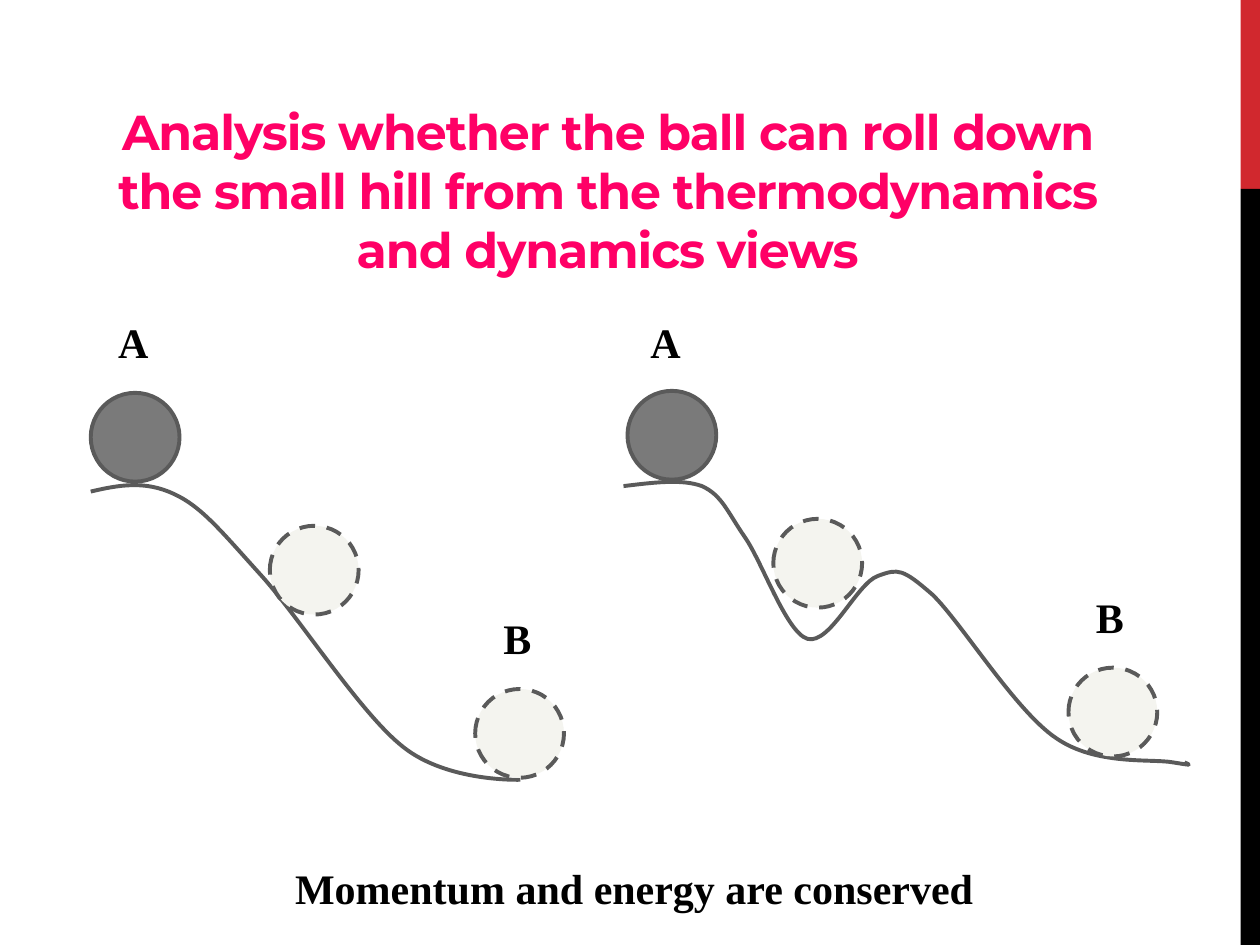
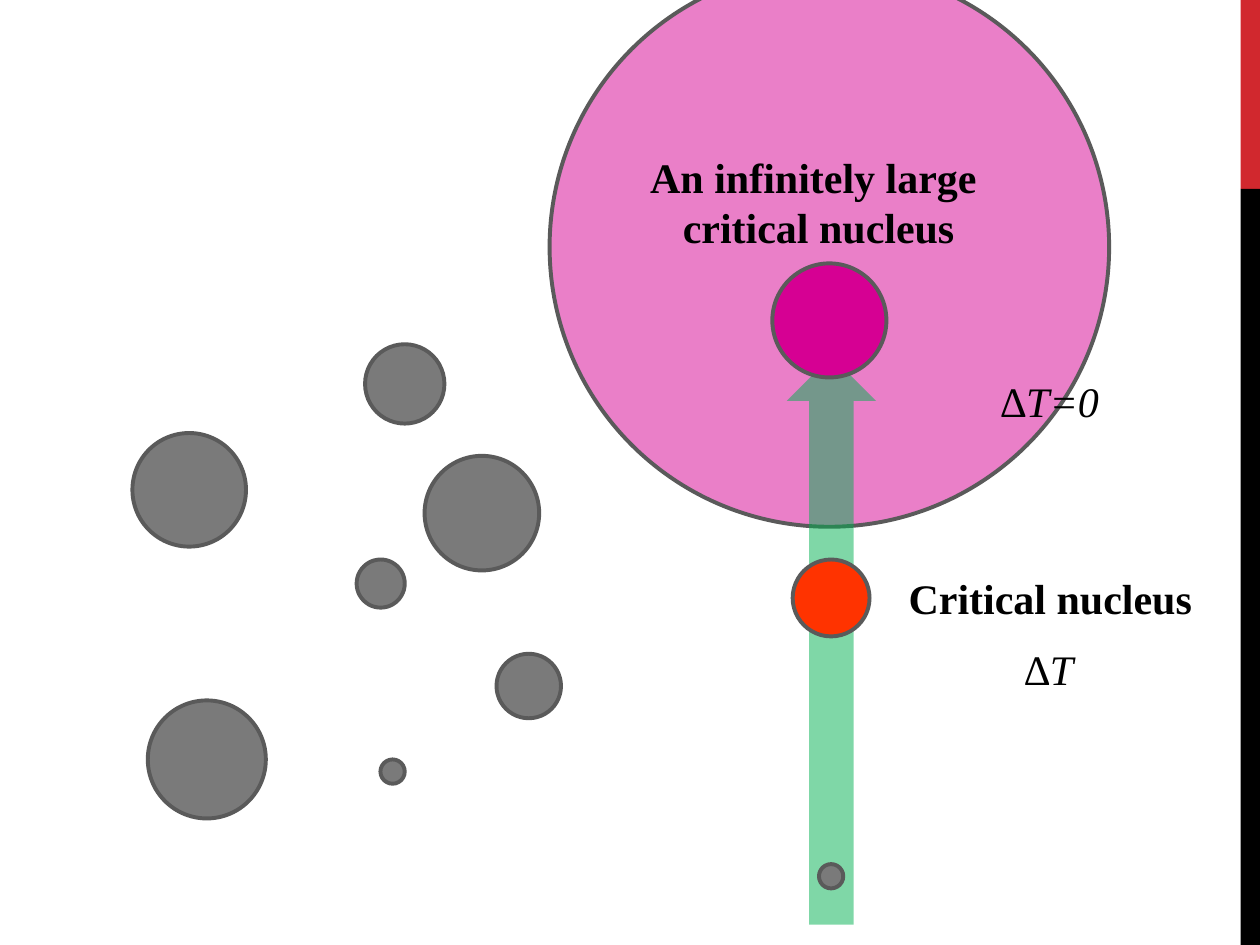
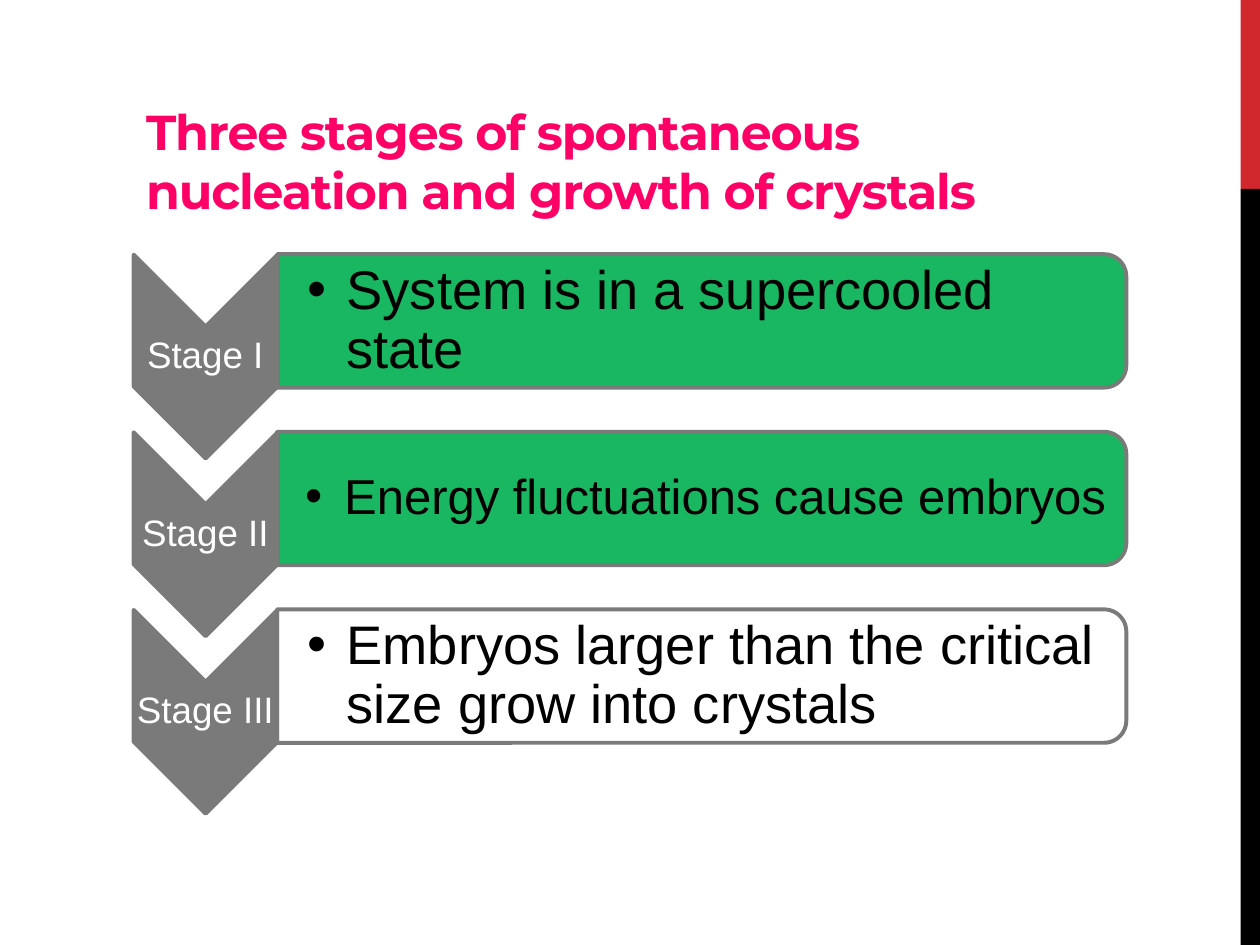
from lxml.etree import SubElement
from pptx import Presentation
from pptx.dml.color import RGBColor
from pptx.enum.dml import MSO_LINE
from pptx.enum.shapes import MSO_SHAPE as SHAPE
from pptx.enum.text import MSO_ANCHOR as ANCHOR, MSO_AUTO_SIZE as AUTO_SIZE, PP_ALIGN as ALIGN
from pptx.oxml.ns import qn
from pptx.util import Cm, Pt

COLORS = {
    "title": "FF0066", "text": "000000", "white": "FFFFFF",
    "red_band": "D1282E", "black_band": "000000",
    "gray": "7A7A7A", "outline": "5A5A5A", "ghost": "F4F4EF",
    "magenta": "D60093", "orange": "FF3300", "green": "00B050",
}
SERIF, SANS, HEADING = "Times New Roman", "Arial", "Montserrat"
TITLE_ONLY, BLANK = 5, 6
BALL = 1.79


def rgb(name):
    return RGBColor.from_string(COLORS[name])


class Deck:
    def __init__(self):
        self.prs = Presentation()
        self.prs.slide_width, self.prs.slide_height = Cm(25.4), Cm(19.05)
        self.slide = None

    def new_slide(self, layout):
        self.slide = self.prs.slides.add_slide(self.prs.slide_layouts[layout])

    def master_bands(self):
        tree = self.prs.slide_master.shapes.element
        for i, (color, y, h) in enumerate((("red_band", 0, 3.81), ("black_band", 3.81, 15.24))):
            sp = self.shape(SHAPE.RECTANGLE, 25.01, y, 0.39, h, color, line=None)
            sp.element.xpath(".//p:cNvPr")[0].set("id", str(100 + i))
            tree.append(sp.element)

    def style(self, p, size, color, font, bold=False, italic=False):
        for r in p.runs:
            f = r.font
            f.name, f.size, f.bold, f.italic = font, Pt(size), bold, italic
            f.color.rgb = rgb(color)

    def title(self, text, x, y, w, align):
        sp = self.slide.shapes.title
        sp.left, sp.top, sp.width, sp.height = Cm(x), Cm(y), Cm(w), Cm(3.81)
        tf = sp.text_frame
        tf.text = text
        tf.word_wrap, tf.auto_size = True, AUTO_SIZE.NONE
        tf.vertical_anchor = ANCHOR.BOTTOM
        p = tf.paragraphs[0]
        p.alignment = align
        self.style(p, 28, "title", HEADING, bold=True)
        p.runs[0].font._element.set("spc", "-60")

    def outline(self, sp, color, dashed=False):
        sp.line.color.rgb = rgb(color)
        sp.line.width = Pt(2.25)
        if dashed:
            sp.line.dash_style = MSO_LINE.DASH

    def shape(self, kind, x, y, w, h, fill, line="outline", alpha=None, dashed=False, turn=0):
        sp = self.slide.shapes.add_shape(kind, Cm(x), Cm(y), Cm(w), Cm(h))
        sp.shadow.inherit = False
        sp.rotation = turn
        sp.fill.solid()
        sp.fill.fore_color.rgb = rgb(fill)
        if alpha:
            color = sp.element.spPr.find(qn("a:solidFill"))[0]
            SubElement(color, qn("a:alpha")).set("val", str(alpha * 1000))
        if line:
            self.outline(sp, line, dashed)
        else:
            sp.line.fill.background()
        return sp

    def circle(self, x, y, d, fill="gray", **options):
        return self.shape(SHAPE.OVAL, x, y, d, d, fill, **options)

    def curve(self, start, segments):
        builder = self.slide.shapes.build_freeform(Cm(start[0]), Cm(start[1]))
        builder.add_line_segments([(Cm(x), Cm(y)) for *_, (x, y) in segments], close=False)
        sp = builder.convert_to_shape()
        for side, segment in zip(sp.element.xpath(".//a:lnTo"), segments):
            side.tag = qn("a:cubicBezTo")
            side.remove(side[0])
            for x, y in segment:
                pt = SubElement(side, qn("a:pt"))
                pt.set("x", str(Cm(x) - sp.left))
                pt.set("y", str(Cm(y) - sp.top))
        sp.shadow.inherit = False
        sp.fill.background()
        self.outline(sp, "outline")

    def text(self, text, x, y, w, h=1.27, size=24, color="text", font=SERIF, bold=False,
             italic=False, align=ALIGN.LEFT, wrap=False, insets=None, spacing=None, bullet=None):
        tf = self.slide.shapes.add_textbox(Cm(x), Cm(y), Cm(w), Cm(h)).text_frame
        tf.text = text
        tf.word_wrap = wrap
        tf.auto_size = AUTO_SIZE.NONE if insets else AUTO_SIZE.SHAPE_TO_FIT_TEXT
        if insets:
            left, other = insets
            tf.margin_left = Cm(left)
            tf.margin_top = tf.margin_right = tf.margin_bottom = Cm(other)
            tf.vertical_anchor = ANCHOR.MIDDLE
        for p in tf.paragraphs:
            p.alignment = align
            if spacing:
                p.line_spacing = spacing
            if bullet:
                p.level = 1
                pPr = p._p.get_or_add_pPr()
                pPr.set("marL", str(Cm(bullet)))
                pPr.set("indent", str(-Cm(bullet)))
                SubElement(pPr, qn("a:buFont")).set("typeface", font)
                SubElement(pPr, qn("a:buChar")).set("char", "•")
            self.style(p, size, color, font, bold, italic)


def hill_slide(deck):
    deck.title("Analysis whether the ball can roll down the small hill from the "
               "thermodynamics and dynamics views", 1.43, 1.93, 21.64, ALIGN.CENTER)
    deck.curve((1.83, 9.91), [
        ((2.39, 9.78), (2.92, 9.68), (3.51, 9.96)),
        ((4.06, 10.21), (4.47, 10.72), (5.23, 11.56)),
        ((6.02, 12.42), (7.26, 14.38), (8.13, 15.06)),
        ((9.02, 15.77), (10.49, 15.72), (10.49, 15.72)),
    ])
    deck.curve((12.57, 9.8), [
        ((13.16, 9.73), (13.74, 9.65), (14.15, 9.8)),
        ((14.55, 9.98), (14.66, 10.31), (15.01, 10.82)),
        ((15.37, 11.33), (15.85, 12.75), (16.28, 12.88)),
        ((16.74, 13), (17.27, 11.76), (17.7, 11.61)),
        ((18.11, 11.46), (18.19, 11.46), (18.8, 11.99)),
        ((19.38, 12.55), (20.47, 14.33), (21.29, 14.88)),
        ((22.1, 15.44), (23.22, 15.29), (23.65, 15.37)),
        ((24.08, 15.44), (23.98, 15.42), (23.88, 15.37)),
    ])
    for x, y in ((1.83, 7.92), (12.65, 7.88)):
        deck.circle(x, y, BALL)
    deck.circle(9.58, 13.89, BALL, "ghost", dashed=True)
    deck.text("Momentum and energy are conserved", 5.7, 17.27, 14.86, bold=True, wrap=True)
    for label, x, y in (("A", 2.13, 6.25), ("B", 9.9, 12.22), ("A", 12.86, 6.25)):
        deck.text(label, x, y, 1.14, bold=True)
    deck.circle(21.54, 13.46, BALL, "ghost", dashed=True)
    deck.text("B", 21.84, 11.79, 1.14, bold=True)
    for x, y in ((15.59, 10.46), (5.44, 10.6)):
        deck.circle(x, y, BALL, "ghost", dashed=True)


def nucleus_slide(deck):
    deck.circle(11.08, -0.66, 11.28, "magenta", alpha=50)
    deck.shape(SHAPE.DOWN_ARROW, 15.86, 7.18, 1.8, 11.46, "green", line=None, alpha=50, turn=180)
    embryos = ((7.36, 6.94, 1.6), (2.67, 8.73, 2.29), (7.19, 11.28, 0.97), (2.98, 14.12, 2.38),
               (7.67, 15.31, 0.49), (8.56, 9.19, 2.31), (10.01, 13.18, 1.3))
    for x, y, d in embryos:
        deck.circle(x, y, d)
    deck.circle(15.57, 5.31, 2.3, "magenta")
    deck.circle(16.51, 17.42, 0.49)
    deck.text("∆T", 20.4, 12.84, 1.55, italic=True)
    deck.circle(15.98, 11.28, 1.55, "orange")
    deck.text("Critical nucleus", 18.04, 11.42, 6.27, bold=True, align=ALIGN.CENTER)
    deck.text("An infinitely large \ncritical nucleus", 12.82, 2.92, 7.37, 2.31,
              bold=True, align=ALIGN.CENTER)
    deck.text("∆T=0", 19.92, 7.44, 2.51, italic=True)


def stages_slide(deck):
    deck.title("Three stages of spontaneous nucleation and growth of crystals",
               2.69, 0.73, 19.23, ALIGN.LEFT)
    stages = (
        ("Stage I", "System is in a supercooled state", "green", 31, 0.61),
        ("Stage II", "Energy fluctuations cause embryos", "green", 28, 0.56),
        ("Stage III", "Embryos larger than the critical size grow into crystals", "white", 31, 0.61),
    )
    for i, (stage, event, fill, size, inset) in enumerate(stages):
        dy = 3.58 * i
        deck.shape(SHAPE.CHEVRON, 2.09, 5.74 + dy, 4.11, 2.9, "gray", line="gray", turn=90)
        deck.text(stage, 2.69, 6.57 + dy, 2.9, 1.24, size=21, color="white", font=SANS,
                  align=ALIGN.CENTER, wrap=True, insets=(0.03, 0.03), spacing=0.9)
        deck.shape(SHAPE.ROUND_2_SAME_RECTANGLE, 12.8, -2.09 + dy, 2.69, 17.12, fill,
                   line="gray", alpha=90, turn=90)
        deck.text(event, 5.59, 5.27 + dy, 16.99, 2.41, size=size, font=SANS, wrap=True,
                  insets=(inset, 0.05), spacing=0.9, bullet=0.79)


def main():
    deck = Deck()
    deck.new_slide(TITLE_ONLY)
    deck.master_bands()
    hill_slide(deck)
    deck.new_slide(BLANK)
    nucleus_slide(deck)
    deck.new_slide(TITLE_ONLY)
    stages_slide(deck)
    deck.prs.save("out.pptx")


if __name__ == "__main__":
    main()
